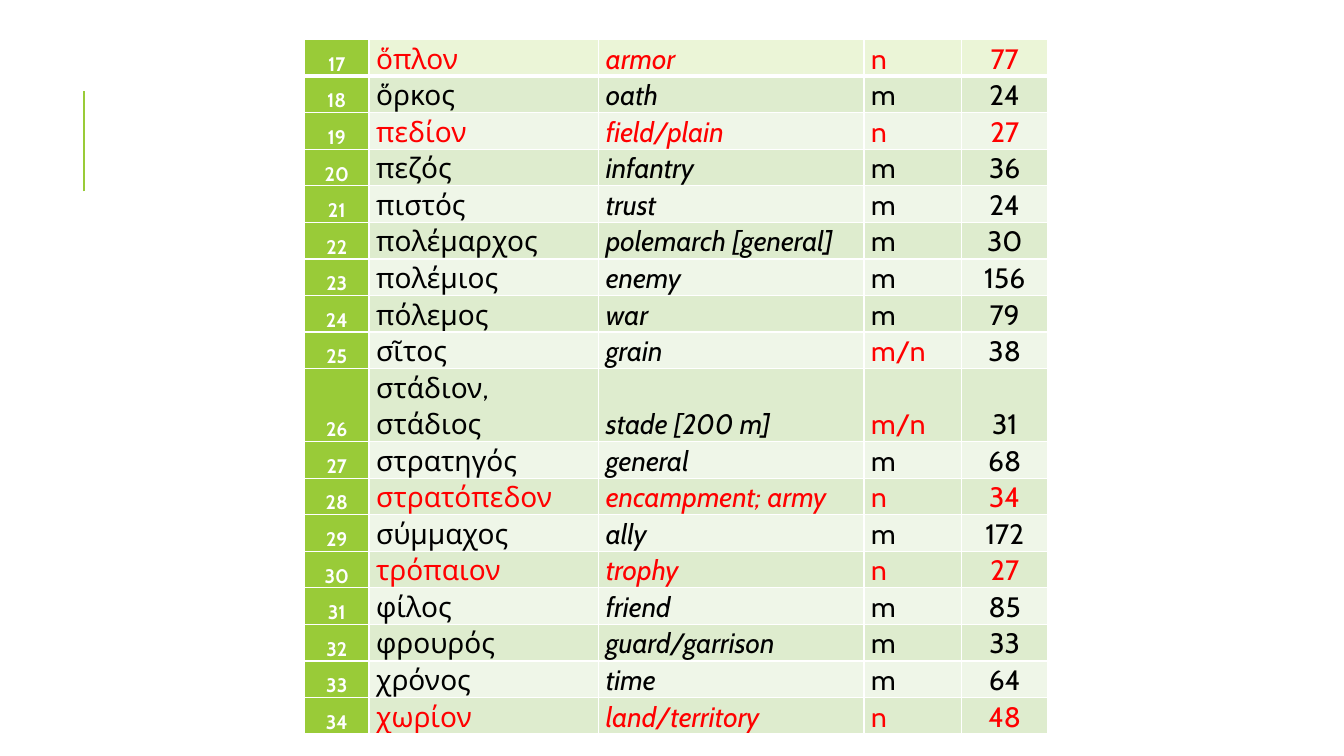
from lxml.etree import SubElement
from pptx import Presentation
from pptx.dml.color import RGBColor
from pptx.enum.shapes import MSO_CONNECTOR as Connector
from pptx.enum.text import MSO_ANCHOR as Anchor, PP_ALIGN as Align
from pptx.oxml.ns import qn
from pptx.util import Inches, Pt

GREEN, WHITE, BLACK, RED = "99CB38", "FFFFFF", "000000", "FF0000"
TOP_FILL, DARK_FILL, LIGHT_FILL = "EBF5D7", "DEECCE", "EFF6E8"

# Noun, meaning, gender, occurrences
FIRST_NUMBER = 17
NOUNS = [
    ("ὅπλον", "armor", "n", 77),
    ("ὅρκος", "oath", "m", 24),
    ("πεδίον", "field/plain", "n", 27),
    ("πεζός", "infantry", "m", 36),
    ("πιστός", "trust", "m", 24),
    ("πολέμαρχος", "polemarch [general]", "m", 30),
    ("πολέμιος", "enemy", "m", 156),
    ("πόλεμος", "war", "m", 79),
    ("σῖτος", "grain", "m/n", 38),
    ("στάδιον, στάδιος", "stade [200 m]", "m/n", 31),
    ("στρατηγός", "general", "m", 68),
    ("στρατόπεδον", "encampment; army", "n", 34),
    ("σύμμαχος", "ally", "m", 172),
    ("τρόπαιον", "trophy", "n", 27),
    ("φίλος", "friend", "m", 85),
    ("φρουρός", "guard/garrison", "m", 33),
    ("χρόνος", "time", "m", 64),
    ("χωρίον", "land/territory", "n", 48),
]
NUMBER, NOUN, MEANING, GENDER, COUNT = range(5)
COLUMN_WIDTHS = [4.8, 17.1, 19.73, 7.28, 6.38]
ROW_HEIGHT, TALL_ROW_HEIGHT = 4.53, 5.33


def color(value):
    return RGBColor.from_string(value)


class VocabularySlide:
    """Places elements in percent of the slide's width and height."""

    font = "Cabin"

    def __init__(self, deck):
        self.deck = deck
        self.page = deck.slides.add_slide(deck.slide_layouts[6])

    def x(self, percent):
        return round(self.deck.slide_width * percent / 100)

    def y(self, percent):
        return round(self.deck.slide_height * percent / 100)

    def line(self, start, end, line_color, width):
        line = self.page.shapes.add_connector(
            Connector.STRAIGHT, self.x(start[0]), self.y(start[1]), self.x(end[0]), self.y(end[1]))
        line.line.color.rgb = color(line_color)
        line.line.width = Pt(width)
        SubElement(line._element.spPr, qn("a:effectLst"))

    def table(self, left, top, widths, heights):
        frame = self.page.shapes.add_table(
            len(heights), len(widths), self.x(left), self.y(top),
            self.x(sum(widths)), self.y(sum(heights)))
        table = frame.table
        for column, width in zip(table.columns, widths):
            column.width = self.x(width)
        for row, height in zip(table.rows, heights):
            row.height = self.y(height)
        return table

    def borders(self, cell, top, bottom):
        properties = cell._tc.get_or_add_tcPr()
        for side, width in (("L", 1), ("R", 1), ("T", top), ("B", bottom)):
            border = SubElement(properties, qn(f"a:ln{side}"), w=str(Pt(width)))
            fill = SubElement(border, qn("a:solidFill"))
            SubElement(fill, qn("a:srgbClr"), val=WHITE)

    def cell(self, cell, text, fill, text_color, size=20, bold=False, italic=False, align=Align.LEFT):
        cell.fill.solid()
        cell.fill.fore_color.rgb = color(fill)
        cell.vertical_anchor = Anchor.BOTTOM
        cell.margin_left = cell.margin_right = Inches(0.07)
        cell.margin_top = cell.margin_bottom = 0
        para = cell.text_frame.paragraphs[0]
        para.alignment = align
        para.line_spacing = 1.07
        span = para.add_run()
        span.text = text
        span.font.name = self.font
        span.font.size = Pt(size)
        span.font.bold = bold
        span.font.italic = italic
        span.font.color.rgb = color(text_color)


def row_fill(row):
    if row == 0:
        return TOP_FILL
    return DARK_FILL if row % 2 else LIGHT_FILL


def text_color(column, gender):
    if column == NUMBER:
        return WHITE
    # Neuter nouns are red throughout, mixed ones only in the gender column
    return RED if gender == "n" or (gender == "m/n" and column == GENDER) else BLACK


def main():
    deck = Presentation()
    deck.slide_width, deck.slide_height = Inches(13.33), Inches(7.5)
    slide = VocabularySlide(deck)

    # Accent line
    slide.line((6.23, 25.33), (6.23, 12), GREEN, 1.5)

    # Vocabulary table
    heights = [TALL_ROW_HEIGHT if "," in noun[0] else ROW_HEIGHT for noun in NOUNS]
    table = slide.table(22.66, 5.25, COLUMN_WIDTHS, heights)
    for row, noun in enumerate(NOUNS):
        for column, value in enumerate((FIRST_NUMBER + row, *noun)):
            cell = table.cell(row, column)
            numbered = column == NUMBER
            slide.borders(cell, top=3 if row == 1 else 1, bottom=3 if row == 0 else 1)
            slide.cell(
                cell, str(value),
                fill=GREEN if numbered else row_fill(row),
                text_color=text_color(column, noun[2]),
                size=14 if numbered else 20,
                bold=numbered,
                italic=column == MEANING,
                align=Align.CENTER if column in (NUMBER, COUNT) else Align.LEFT)

    deck.save("out.pptx")


if __name__ == "__main__":
    main()
